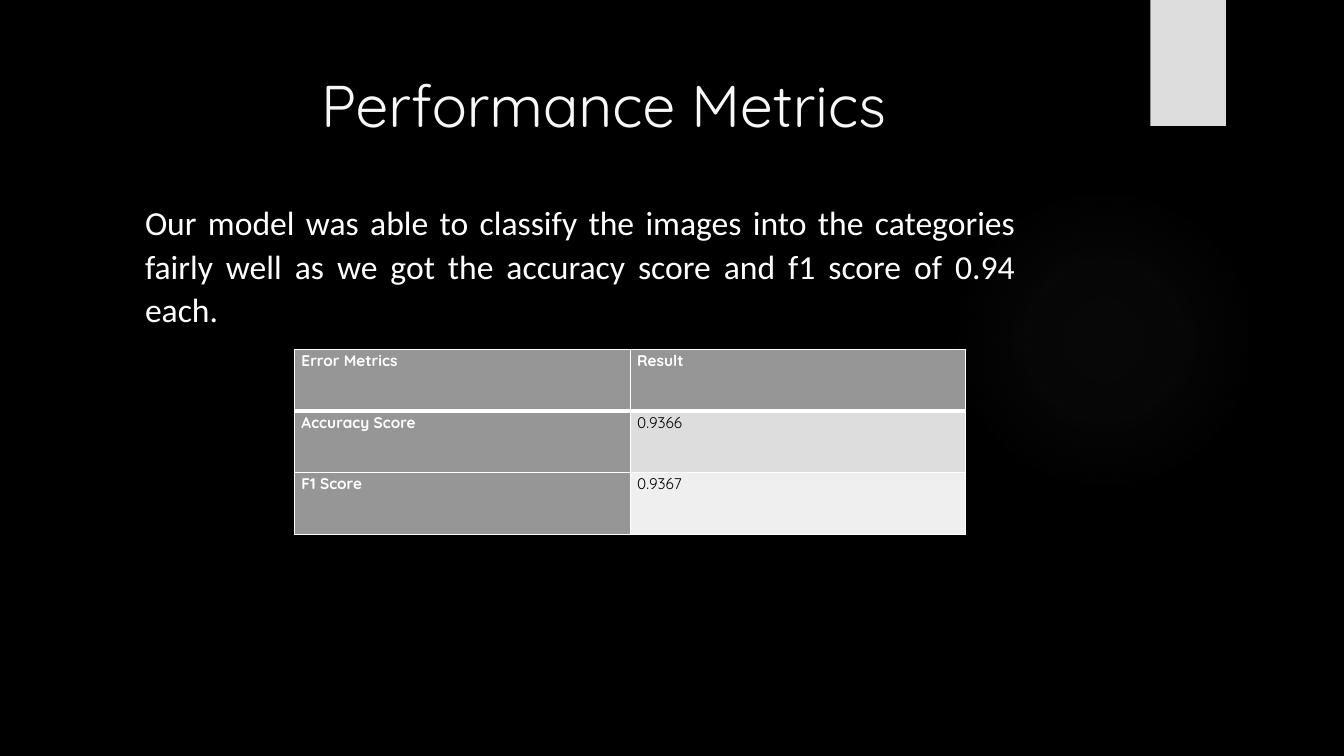
from lxml import etree
from pptx import Presentation
from pptx import util as u
from pptx.dml.color import RGBColor
from pptx.enum import shapes, text
from pptx.oxml import parse_xml
from pptx.oxml.ns import qn

NS = 'xmlns:a="http://schemas.openxmlformats.org/drawingml/2006/main"'
COLORS = {"back": "000000", "white": "FFFFFF", "title": "F8F8F8",
          "glow": "666666", "tab": "DDDDDD", "head": "969696",
          "band": "DDDDDD", "pale": "EFEFEF", "ink": "000000"}


class Deck:
    font = "Quicksand"

    def __init__(self):
        self.prs = Presentation()
        self.prs.slide_width = u.Inches(13.33)
        self.prs.slide_height = u.Inches(7.5)
        self.slide = self.prs.slides.add_slide(self.prs.slide_layouts[6])
        self.paint(self.slide.background.fill, "back")

    def paint(self, fill, color):
        fill.solid()
        fill.fore_color.rgb = RGBColor.from_string(COLORS[color])

    def shape(self, kind, *box):
        item = self.slide.shapes.add_shape(kind, *map(u.Inches, box))
        item.shadow.inherit = False
        item.line.fill.background()
        return item

    def rect(self, color, *box):
        item = self.shape(shapes.MSO_SHAPE.RECTANGLE, *box)
        self.paint(item.fill, color)
        props = item._element.spPr
        props.remove(props.find(qn("a:effectLst")))
        props.append(parse_xml(
            f'<a:effectLst {NS}><a:outerShdw blurRad="38100" dist="25400" dir="5400000">'
            '<a:srgbClr val="000000"><a:alpha val="45000"/></a:srgbClr>'
            '</a:outerShdw></a:effectLst>'))

    def glow(self, stops, *box):
        item = self.shape(shapes.MSO_SHAPE.OVAL, *box)
        item.fill.background()
        marks = "".join(
            f'<a:gs pos="{pos * 1000}"><a:srgbClr val="{COLORS["glow"]}">'
            f'<a:alpha val="{alpha * 1000}"/></a:srgbClr></a:gs>' for pos, alpha in stops)
        props = item._element.spPr
        props.replace(props.find(qn("a:noFill")), parse_xml(
            f'<a:gradFill {NS}><a:gsLst>{marks}</a:gsLst><a:path path="circle">'
            '<a:fillToRect l="50000" t="50000" r="50000" b="50000"/></a:path></a:gradFill>'))

    def words(self, frame, words, size, color, font=None, bold=False, para=None):
        line = frame.paragraphs[0]
        for name, value in (para or {}).items():
            setattr(line, name, value)
        run = line.add_run()
        run.text = words
        look = {"size": u.Pt(size), "name": font or self.font, "bold": bold}
        for name, value in look.items():
            setattr(run.font, name, value)
        run.font.color.rgb = RGBColor.from_string(COLORS[color])

    def label(self, words, box, *look, **more):
        frame = self.slide.shapes.add_textbox(*map(u.Inches, box)).text_frame
        frame.word_wrap = True
        self.words(frame, words, *look, **more)

    def border(self, cell, widths):
        props = cell._tc.get_or_add_tcPr()
        for side, width in zip("LRTB", widths):
            line = etree.SubElement(props, qn(f"a:ln{side}"), w=str(u.Pt(width)))
            fill = etree.SubElement(line, qn("a:solidFill"))
            etree.SubElement(fill, qn("a:srgbClr"), val=COLORS["white"])

    def table(self, rows, fills, para, *box):
        grid = self.slide.shapes.add_table(
            len(rows), len(rows[0]), *map(u.Inches, box)).table
        for r, row in enumerate(rows):
            for c, words in enumerate(row):
                cell = grid.cell(r, c)
                self.border(cell, (1, 1, 3 if r == 1 else 1, 3 if r == 0 else 1))
                self.paint(cell.fill, fills[r][c])
                for side, gap in {"left": 0.07, "right": 0.07, "top": 0, "bottom": 0}.items():
                    setattr(cell, f"margin_{side}", u.Inches(gap))
                strong = r == 0 or c == 0
                self.words(cell.text_frame, words, 11, "white" if strong else "ink",
                           bold=strong, para=para)


def main():
    deck = Deck()
    body = {"alignment": text.PP_ALIGN.JUSTIFY, "line_spacing": 1.07,
            "space_after": u.Pt(8)}

    # Backdrop
    deck.glow([(0, 7), (36, 6), (69, 0)], 9.41, 1.83, 3.08, 3.08)
    deck.rect("tab", 11.41, 0, 0.75, 1.25)

    # Title
    deck.label("Performance Metrics", (0.84, 0.63, 10.29, 1.53), 42, "title",
               para={"alignment": text.PP_ALIGN.CENTER})

    # Scores
    deck.table([["Error Metrics", "Result"],
                ["Accuracy Score", "0.9366"],
                ["F1 Score", "0.9367"]],
               [["head", "head"], ["head", "band"], ["head", "pale"]],
               body, 2.92, 3.47, 6.66, 1.83)

    # Summary
    deck.label("Our model was able to classify the images into the categories fairly "
               "well as we got the accuracy score and f1 score of 0.94 each.",
               (1.34, 1.93, 8.83, 1.38), 24, "white", font="Calibri", para=body)

    deck.prs.save("out.pptx")


if __name__ == "__main__":
    main()
